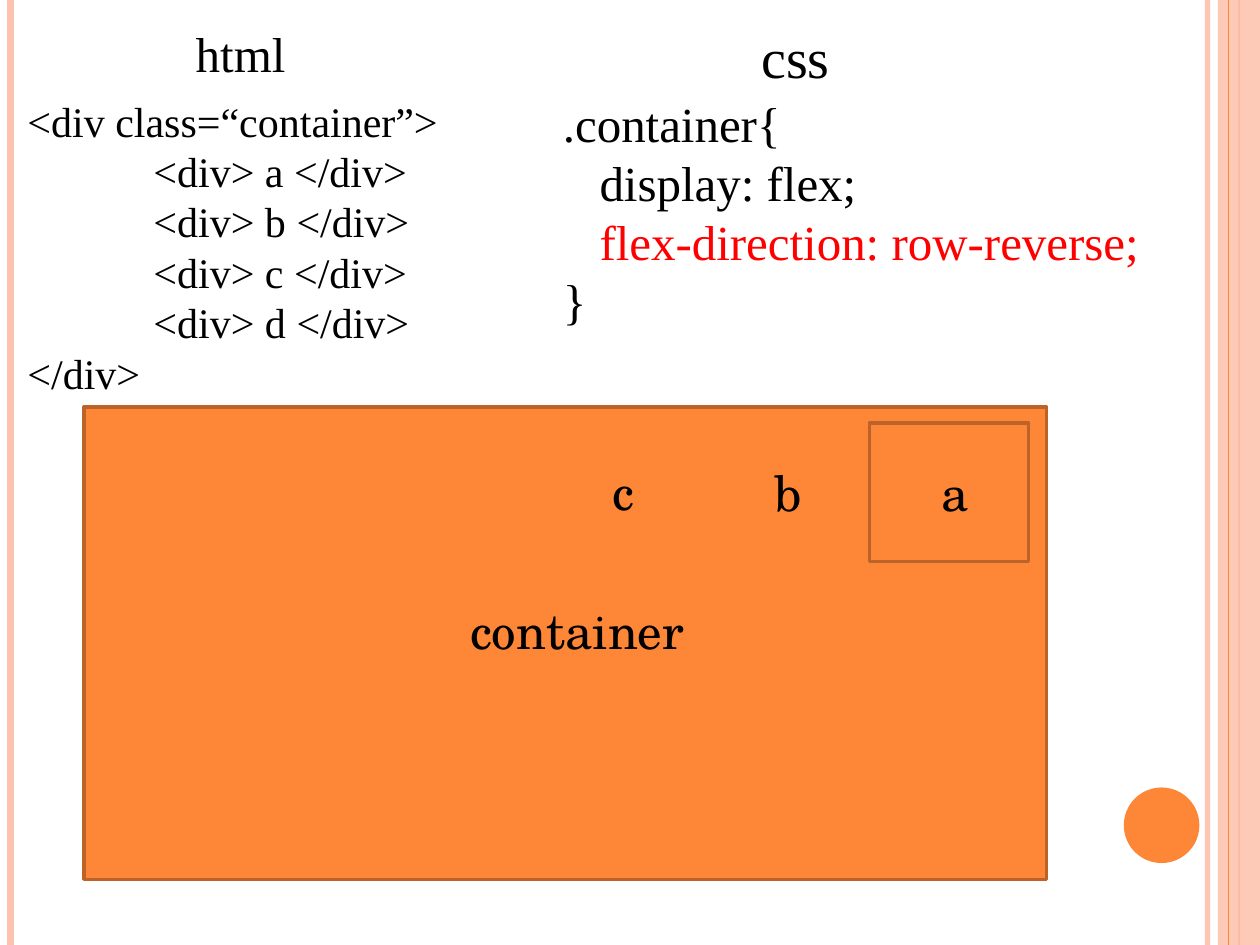
from lxml.etree import SubElement
from pptx import Presentation
from pptx.dml.color import RGBColor
from pptx.enum.shapes import MSO_CONNECTOR, MSO_SHAPE
from pptx.enum.text import MSO_AUTO_SIZE
from pptx.oxml.ns import qn
from pptx.util import Pt

ORANGE, PEACH, BROWN = "FE8637", "FEC3AE", "BC6329"
BLACK, RED = "000000", "FF0000"
CODE_FONT, LABEL_FONT = "Times New Roman", "TeX Gyre Schola"


def paint(fill, color, opacity=100):
    """Fill solidly with a hex colour, with opacity in percent."""
    fill.solid()
    fill.fore_color.rgb = RGBColor.from_string(color)
    if opacity < 100:
        color_element = fill._xPr.find(".//" + qn("a:srgbClr"))
        SubElement(color_element, qn("a:alpha"), val=str(opacity * 1000))


def add_text(left, top, width, height, lines, size, font):
    """Add a text box; each line is a list of (text, colour) runs."""
    box = slide.shapes.add_textbox(Pt(left), Pt(top), Pt(width), Pt(height))
    frame = box.text_frame
    frame.word_wrap = True
    frame.auto_size = MSO_AUTO_SIZE.SHAPE_TO_FIT_TEXT
    for index, line in enumerate(lines):
        paragraph = frame.add_paragraph() if index else frame.paragraphs[0]
        if line[0][0].startswith("\t"):
            tab_stops = SubElement(paragraph._p.get_or_add_pPr(), qn("a:tabLst"))
            SubElement(tab_stops, qn("a:tab"), pos=str(Pt(72)), algn="l")
        for text, color in line:
            run = paragraph.add_run()
            run.text = text
            run.font.name = font
            run.font.size = Pt(size)
            paint(run.font.fill, color)


presentation = Presentation()
presentation.slide_width, presentation.slide_height = Pt(720), Pt(540)
slide = presentation.slides.add_slide(presentation.slide_layouts[6])

# Side stripes; the band lies between the last two of them
for kind, x, width, color, opacity in [
    ("line", 690, 3, PEACH, 93),
    ("line", 6, 4.5, PEACH, 100),
    ("line", 708, 1.5, ORANGE, 100),
    ("band", 696, 24, PEACH, 87),
    ("line", 702, 0.75, ORANGE, 100),
]:
    if kind == "band":
        band = slide.shapes.add_shape(MSO_SHAPE.RECTANGLE, Pt(x), Pt(0), Pt(width), Pt(540))
        band.shadow.inherit = False
        paint(band.fill, color, opacity)
        band.line.fill.background()
    else:
        stripe = slide.shapes.add_connector(MSO_CONNECTOR.STRAIGHT, Pt(x), Pt(0), Pt(x), Pt(540))
        stripe.line.width = Pt(width)
        paint(stripe.line.fill, color, opacity)
        SubElement(stripe._element.spPr, qn("a:effectLst"))

# Disc, container and item a
for kind, left, top, width, height, outline in [
    (MSO_SHAPE.OVAL, 642.2, 450, 43.2, 43.2, None),
    (MSO_SHAPE.RECTANGLE, 48, 232.5, 550, 270, BROWN),
    (MSO_SHAPE.RECTANGLE, 496.8, 241.7, 91, 79.2, BROWN),
]:
    shape = slide.shapes.add_shape(kind, Pt(left), Pt(top), Pt(width), Pt(height))
    shape.shadow.inherit = False
    paint(shape.fill, ORANGE)
    if outline:
        shape.line.width = Pt(2)
        paint(shape.line.fill, outline)
    else:
        shape.line.fill.background()

html_code = ["<div class=“container”>",
             *[f"\t<div> {letter} </div>" for letter in "abcd"],
             "</div>"]
css_code = [
    [(".container{", BLACK)],
    [("   display: flex;", BLACK)],
    [("   ", BLACK), ("flex-direction: row-reverse;", RED)],
    [("}", BLACK)],
]
add_text(8.64, 50.8, 332, 181.4, [[(line, BLACK)] for line in html_code], 24, CODE_FONT)
add_text(314.6, 50, 374.4, 143.3, css_code, 28, CODE_FONT)
add_text(104.8, 9.7, 158.4, 41, [[("html", BLACK)]], 28, CODE_FONT)
add_text(428, 9.4, 158.4, 46, [[("css", BLACK)]], 32, CODE_FONT)

for text, left, top, width in [
    ("a", 531, 260.6, 22.3),
    ("b", 435.6, 260.6, 22.3),
    ("c", 342.7, 260, 22.3),
    ("container", 261.6, 339.8, 185),
]:
    add_text(left, top, width, 41, [[(text, BLACK)]], 28, LABEL_FONT)

presentation.save("out.pptx")
